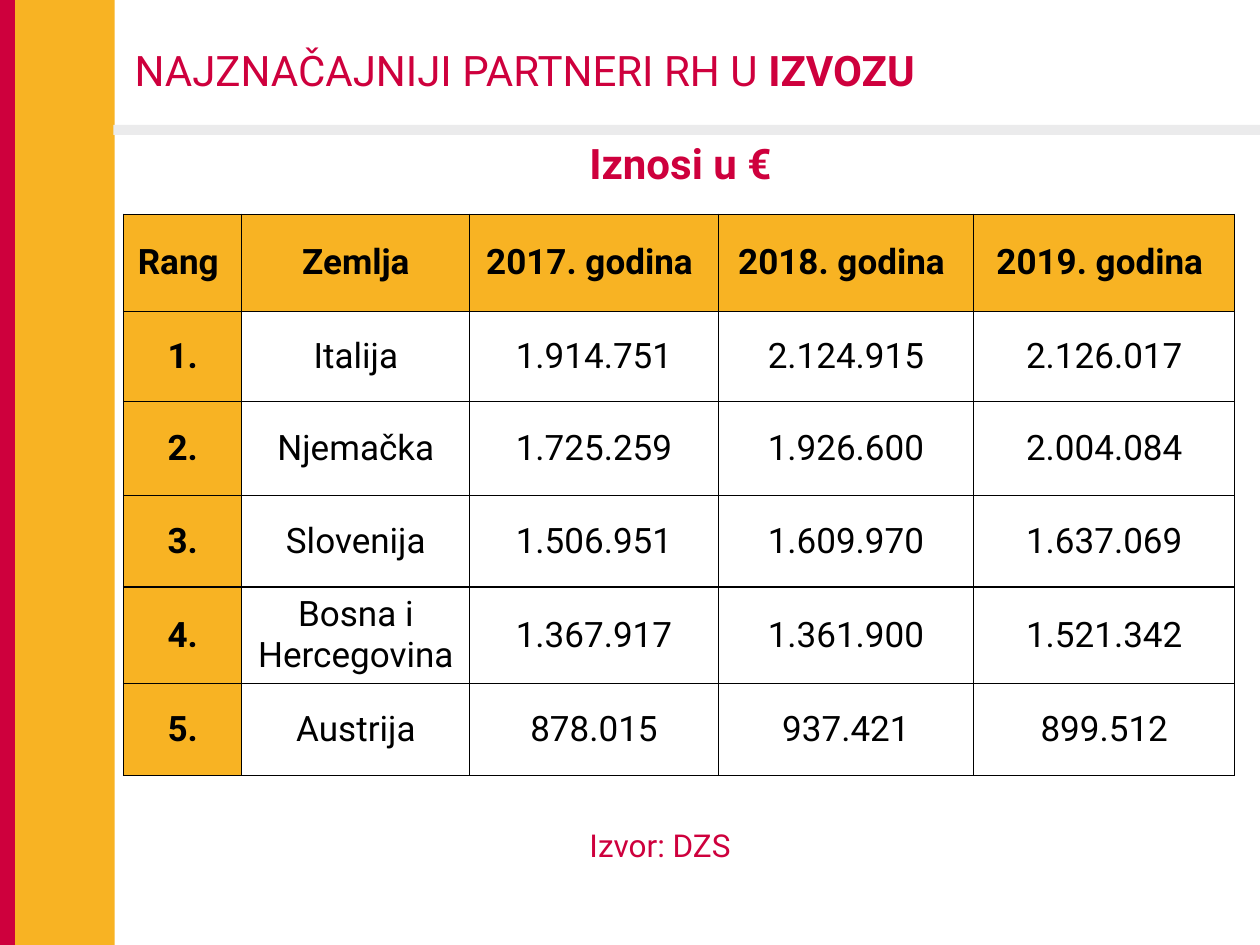
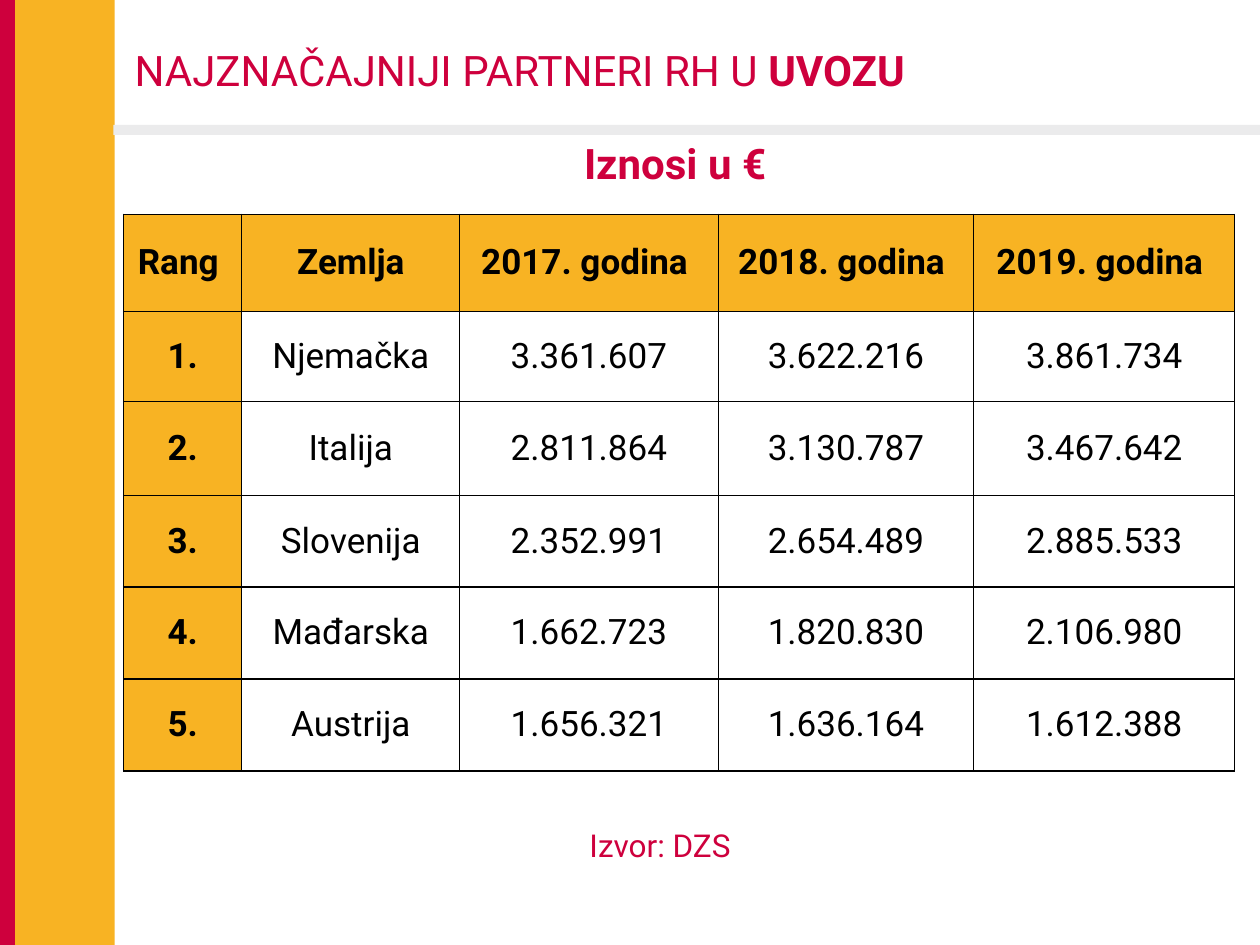
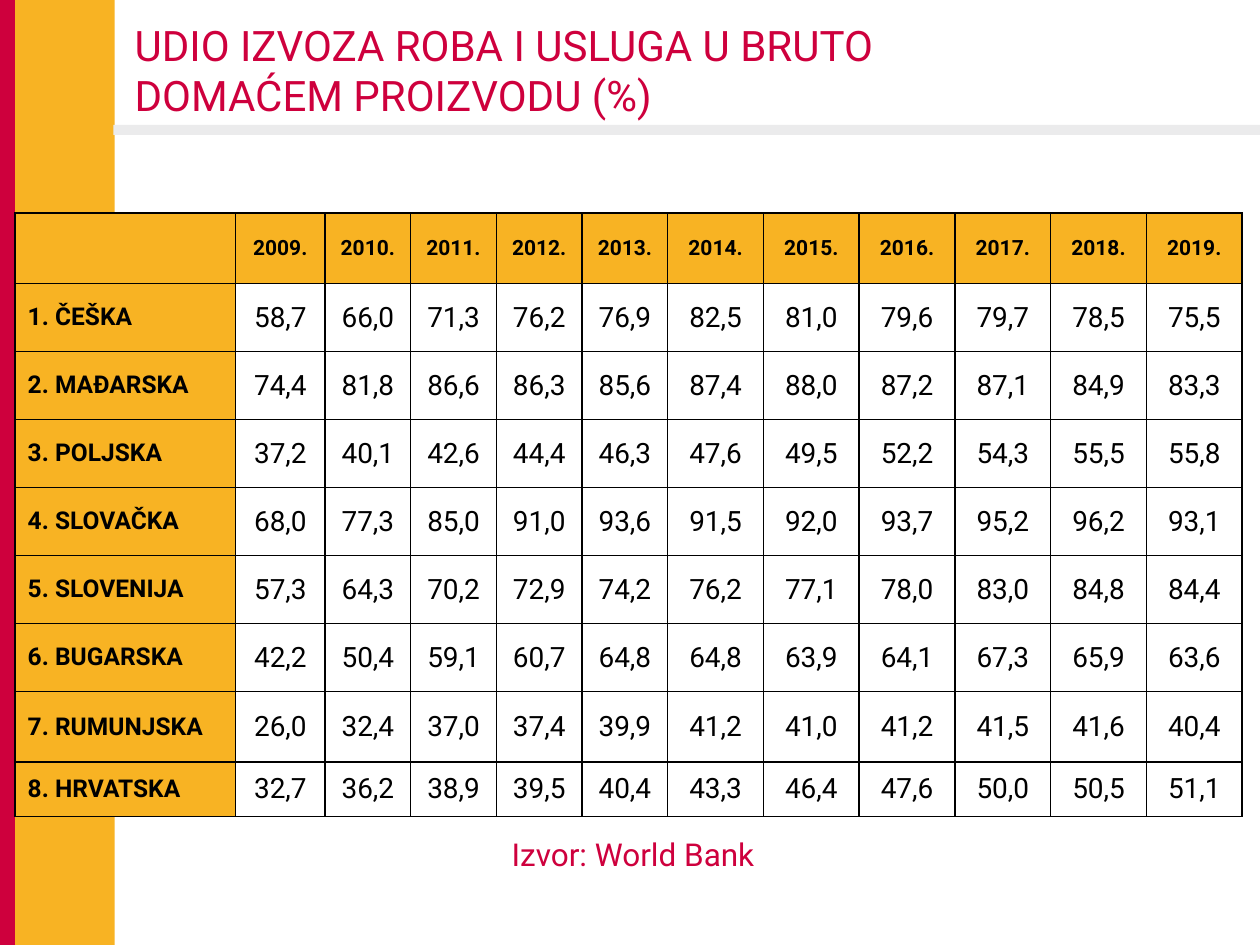
from lxml import etree
from pptx import Presentation
from pptx.dml.color import RGBColor
from pptx.enum.shapes import MSO_SHAPE
from pptx.enum.text import MSO_ANCHOR, PP_ALIGN
from pptx.oxml.ns import qn
from pptx.util import Inches, Pt

RECT = MSO_SHAPE.RECTANGLE
MIDDLE = MSO_ANCHOR.MIDDLE
LEFT, CENTER = PP_ALIGN.LEFT, PP_ALIGN.CENTER

FONT = "Roboto"
RED, YELLOW, GREY = "CE003D", "F8B323", "EBEBEC"
BLACK, WHITE = "000000", "FFFFFF"
rgb = RGBColor.from_string

# Bands on every slide: left, top, width, height, colour
BANDS = [
    (0, 0, 0.12, 7.5, RED),
    (0.12, 0, 0.79, 7.5, YELLOW),
    (0.9, 0.99, 9.1, 0.08, GREY),
]

PARTNER_HEADER = ["Rang ", "Zemlja", "2017. godina ", "2018. godina ", "2019. godina "]
PARTNER_ROWS = [0.77, 0.72, 0.74, 0.73, 0.73, 0.73]
PARTNER_STYLE = dict(head_size=20, label_size=20, size=20, label_align=CENTER, line=0.75)
SHARE_STYLE = dict(head_size=12, label_size=14, size=16, label_align=LEFT, line=1)
PARTNER_SOURCE = ("Izvor: DZS ", 4.54, 6.51, 1.46, 0.44)

EXPORTS = [
    ["Italija", "1.914.751", "2.124.915", "2.126.017"],
    ["Njemačka", "1.725.259", "1.926.600", "2.004.084"],
    ["Slovenija", "1.506.951", "1.609.970", "1.637.069"],
    ["Bosna i Hercegovina", "1.367.917", "1.361.900", "1.521.342"],
    ["Austrija", "878.015", "937.421", "899.512"],
]
IMPORTS = [
    ["Njemačka", "3.361.607", "3.622.216", "3.861.734"],
    ["Italija", "2.811.864", "3.130.787", "3.467.642"],
    ["Slovenija", "2.352.991", "2.654.489", "2.885.533"],
    ["Mađarska", "1.662.723", "1.820.830", "2.106.980"],
    ["Austrija", "1.656.321", "1.636.164", "1.612.388"],
]
SHARES = [
    ("ČEŠKA", "58,7 66,0 71,3 76,2 76,9 82,5 81,0 79,6 79,7 78,5 75,5"),
    ("MAĐARSKA", "74,4 81,8 86,6 86,3 85,6 87,4 88,0 87,2 87,1 84,9 83,3"),
    ("POLJSKA", "37,2 40,1 42,6 44,4 46,3 47,6 49,5 52,2 54,3 55,5 55,8"),
    ("SLOVAČKA", "68,0 77,3 85,0 91,0 93,6 91,5 92,0 93,7 95,2 96,2 93,1"),
    ("SLOVENIJA", "57,3 64,3 70,2 72,9 74,2 76,2 77,1 78,0 83,0 84,8 84,4"),
    ("BUGARSKA", "42,2 50,4 59,1 60,7 64,8 64,8 63,9 64,1 67,3 65,9 63,6"),
    ("RUMUNJSKA", "26,0 32,4 37,0 37,4 39,9 41,2 41,0 41,2 41,5 41,6 40,4"),
    ("HRVATSKA", "32,7 36,2 38,9 39,5 40,4 43,3 46,4 47,6 50,0 50,5 51,1"),
]
SHARE_HEADER = [""] + [f"{year}." for year in range(2009, 2020)]

SLIDES = [
    dict(
        title="NAJZNAČAJNIJI PARTNERI RH U ", strong="IZVOZU", unit="Iznosi u €",
        at=(0.98, 1.7), cols=[0.94, 1.81, 1.97, 2.03, 2.07], rows=PARTNER_ROWS,
        cells=[PARTNER_HEADER] + [[f"{n}."] + row for n, row in enumerate(EXPORTS, 1)],
        style=PARTNER_STYLE, source=PARTNER_SOURCE,
    ),
    dict(
        title="NAJZNAČAJNIJI PARTNERI RH U ", strong="UVOZU", unit="Iznosi u € ",
        at=(0.98, 1.7), cols=[0.94, 1.73, 2.05, 2.03, 2.07], rows=PARTNER_ROWS,
        cells=[PARTNER_HEADER] + [[f"{n}."] + row for n, row in enumerate(IMPORTS, 1)],
        style=PARTNER_STYLE, source=PARTNER_SOURCE,
    ),
    dict(
        title="UDIO IZVOZA ROBA I USLUGA U BRUTO DOMAĆEM PROIZVODU (%)", strong="", unit="",
        at=(0.12, 1.69), cols=[1.75, 0.71] + [0.68] * 4 + [0.76] * 6,
        rows=[0.56] + [0.54] * 6 + [0.56, 0.43],
        cells=[SHARE_HEADER] + [[f"{n}. {country}"] + values.split()
                                for n, (country, values) in enumerate(SHARES, 1)],
        style=SHARE_STYLE, source=("Izvor: World Bank ", 3.72, 6.58, 2.67, 0.4),
    ),
]


def add_text(tf, text, size=24, color=RED, bold=False, align=LEFT):
    """Append a formatted run to the first paragraph of a text frame."""
    tf.word_wrap = True
    p = tf.paragraphs[0]
    p.alignment = align
    r = p.add_run()
    r.text = text
    r.font.name = FONT
    r.font.size = Pt(size)
    r.font.bold = bold
    r.font.color.rgb = rgb(color)


def set_borders(cell, width):
    """Draw a black line on all four sides of a table cell."""
    tc_pr = cell._tc.get_or_add_tcPr()
    for side in ("a:lnL", "a:lnR", "a:lnT", "a:lnB"):
        ln = etree.SubElement(tc_pr, qn(side), w=str(Pt(width)))
        fill = etree.SubElement(ln, qn("a:solidFill"))
        etree.SubElement(fill, qn("a:srgbClr"), val=BLACK)


prs = Presentation()
prs.slide_width, prs.slide_height = Inches(10), Inches(7.5)

for data in SLIDES:
    s = prs.slides.add_slide(prs.slide_layouts[6])

    # Bands
    for x, y, w, h, color in BANDS:
        sp = s.shapes.add_shape(RECT, Inches(x), Inches(y), Inches(w), Inches(h))
        sp.shadow.inherit = False
        sp.fill.solid()
        sp.fill.fore_color.rgb = rgb(color)
        sp.line.fill.background()

    # Title
    tf = s.shapes.add_textbox(Inches(0.97), Inches(0.21), Inches(7.73), Inches(0.69)).text_frame
    tf.vertical_anchor = MIDDLE
    add_text(tf, data["title"])
    if data["strong"]:
        add_text(tf, data["strong"], bold=True)

    # Table
    style, cols, rows = data["style"], data["cols"], data["rows"]
    x, y = data["at"]
    table = s.shapes.add_table(len(rows), len(cols), Inches(x), Inches(y),
                               Inches(sum(cols)), Inches(sum(rows))).table
    table.first_row = table.horz_banding = False
    for column, width in zip(table.columns, cols):
        column.width = Inches(width)
    for row, height in zip(table.rows, rows):
        row.height = Inches(height)
    for i, texts in enumerate(data["cells"]):
        for j, text in enumerate(texts):
            cell = table.cell(i, j)
            set_borders(cell, style["line"])
            cell.vertical_anchor = MIDDLE
            cell.fill.solid()
            cell.fill.fore_color.rgb = rgb(YELLOW if i == 0 or j == 0 else WHITE)
            size = style["head_size"] if i == 0 else style["label_size"] if j == 0 else style["size"]
            if text:
                add_text(cell.text_frame, text, size=size, color=BLACK, bold=i == 0 or j == 0,
                         align=style["label_align"] if j == 0 else CENTER)

    # Unit above the table
    if data["unit"]:
        tb = s.shapes.add_textbox(Inches(4.38), Inches(1.04), Inches(2.04), Inches(0.5))
        add_text(tb.text_frame, data["unit"], bold=True, align=CENTER)

    # Source below the table
    text, x, y, w, h = data["source"]
    tb = s.shapes.add_textbox(Inches(x), Inches(y), Inches(w), Inches(h))
    add_text(tb.text_frame, text, size=18, align=CENTER)

prs.save("out.pptx")
